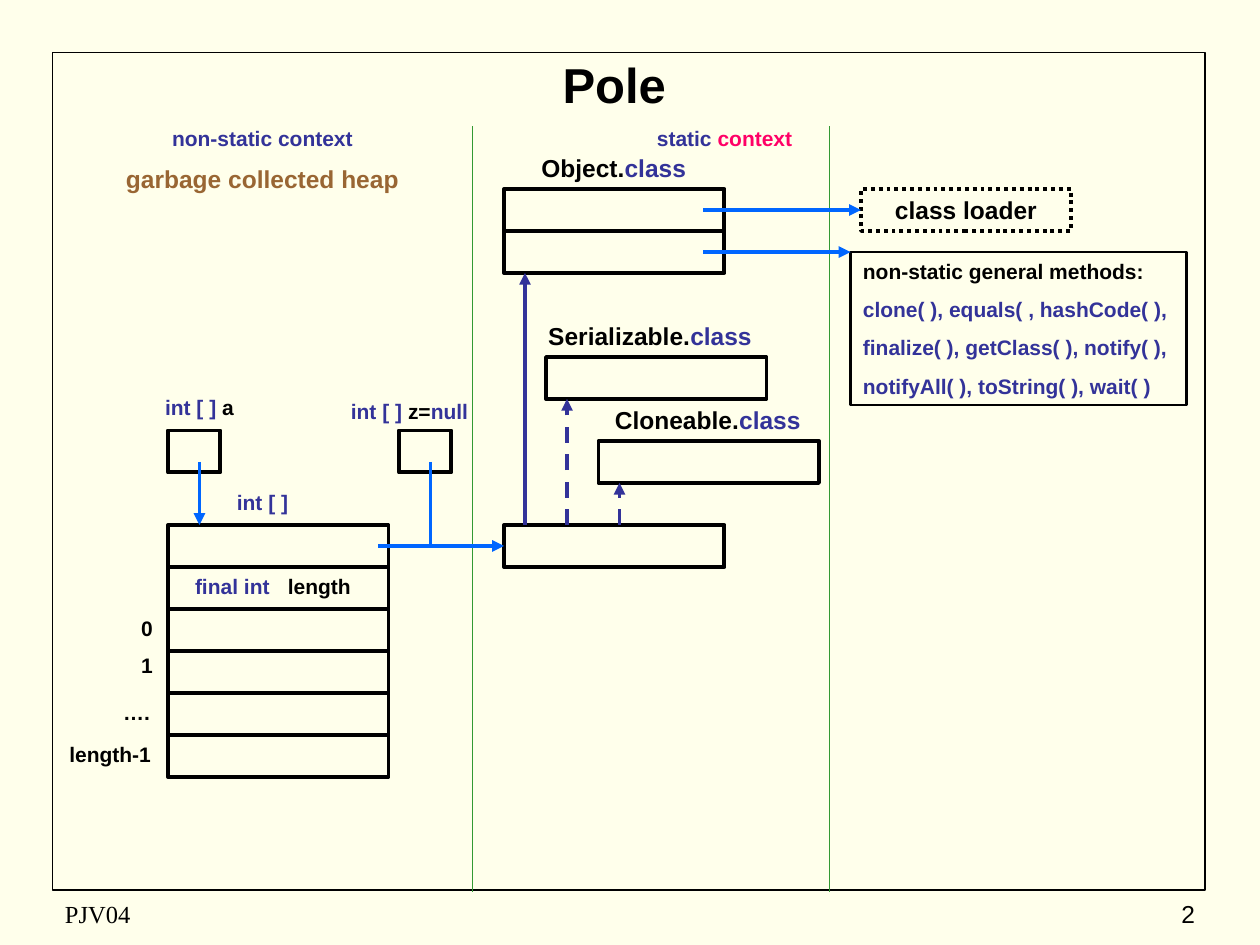
from dataclasses import dataclass
from typing import Optional

from lxml import etree
from pptx import Presentation
from pptx import util as u
from pptx.dml.color import RGBColor
from pptx.enum import dml, shapes, text
from pptx.oxml.ns import qn

CREAM = RGBColor(0xFF, 0xFF, 0xEB)
BLACK = RGBColor(0x00, 0x00, 0x00)
INDIGO = RGBColor(0x33, 0x33, 0x99)
BLUE = RGBColor(0x00, 0x66, 0xFF)
GREEN = RGBColor(0x33, 0x99, 0x33)
BROWN = RGBColor(0x99, 0x66, 0x33)
PINK = RGBColor(0xFF, 0x00, 0x66)

LEFT, CENTER, RIGHT = text.PP_ALIGN.LEFT, text.PP_ALIGN.CENTER, text.PP_ALIGN.RIGHT
TOP, MIDDLE = text.MSO_ANCHOR.TOP, text.MSO_ANCHOR.MIDDLE
DOTTED, DASHED = dml.MSO_LINE.ROUND_DOT, dml.MSO_LINE.DASH

ROW = 4        # height of one memory cell, in grid units
CELL_W = 21    # width of a memory cell
HEAP_X, CLASS_X, ARRAY_Y = 16, 48, 50


def grid(units: float) -> u.Length:
    """The slide is laid out on a grid of 120 by 90 units."""
    return u.Cm(units * 2.54 / 12)


@dataclass
class Box:
    x: float
    y: float
    w: float = CELL_W
    h: float = ROW
    fill: Optional[RGBColor] = None
    weight: float = 2.25
    dash: Optional[dml.MSO_LINE] = None


@dataclass
class Label:
    x: float
    y: float
    w: float
    spans: list
    size: int = 12
    h: float = 3.6


@dataclass
class Line:
    x1: float
    y1: float
    x2: float
    y2: float
    color: RGBColor = BLUE
    arrow: bool = True
    dash: Optional[dml.MSO_LINE] = None
    weight: float = 2.25
    target: object = None    # box whose left side the line joins


def write(frame, paragraphs: list, size: float = 12, align=CENTER, anchor=TOP,
          bold: bool = True, name: str = "Arial", wrap: bool = True) -> None:
    """Fill a text frame; each paragraph is a list of (words, colour)."""
    for key, value in {"word_wrap": wrap, "vertical_anchor": anchor,
                       "auto_size": text.MSO_AUTO_SIZE.NONE}.items():
        setattr(frame, key, value)
    for index, spans in enumerate(paragraphs):
        para = frame.add_paragraph() if index else frame.paragraphs[0]
        para.alignment = align
        para.space_before = u.Pt(7.5 if index else 0)
        for words, color in spans:
            span = para.add_run()
            span.text = words
            for key, value in {"size": u.Pt(size), "bold": bold, "name": name}.items():
                setattr(span.font, key, value)
            span.font.color.rgb = color


def draw_box(page, box: Box):
    shape = page.shapes.add_shape(shapes.MSO_SHAPE.RECTANGLE,
                                  *map(grid, (box.x, box.y, box.w, box.h)))
    shape.shadow.inherit = False
    if box.fill is None:
        shape.fill.background()
    else:
        shape.fill.solid()
        shape.fill.fore_color.rgb = box.fill
    shape.line.color.rgb = BLACK
    shape.line.width = u.Pt(box.weight)
    if box.dash:
        shape.line.dash_style = box.dash
    return shape


def draw_label(page, label: Label, **style):
    shape = page.shapes.add_textbox(*map(grid, (label.x, label.y, label.w, label.h)))
    write(shape.text_frame, [label.spans], label.size, **style)
    return shape


def draw_line(page, line: Line) -> None:
    connector = page.shapes.add_connector(
        shapes.MSO_CONNECTOR.STRAIGHT, *map(grid, (line.x1, line.y1, line.x2, line.y2)))
    connector.line.color.rgb = line.color
    connector.line.width = u.Pt(line.weight)
    if line.dash:
        connector.line.dash_style = line.dash
    properties = connector.element.spPr
    if line.arrow:
        etree.SubElement(properties.find(qn("a:ln")), qn("a:tailEnd"), type="triangle")
    etree.SubElement(properties, qn("a:effectLst"))
    if line.target is not None:
        connector.end_connect(line.target, 1)


def add_title(page) -> None:
    title = page.shapes.title
    title.left, title.top, title.width, title.height = map(grid, (5, 4, 107, 8))
    write(title.text_frame, [[("Pole", BLACK)]], 28, anchor=MIDDLE)


def add_length_field(page) -> None:
    """Label the length cell, with its name set at a tab stop."""
    field = draw_label(page, Label(17.4, 54, 18, [("final int\t", INDIGO), ("length", BLACK)]),
                       align=LEFT)
    properties = field.text_frame.paragraphs[0]._p.get_or_add_pPr()
    tabs = etree.SubElement(properties, qn("a:tabLst"))
    etree.SubElement(tabs, qn("a:tab"), pos=str(u.Cm(1.87)), algn="l")


def main() -> None:
    deck = Presentation()
    deck.slide_width, deck.slide_height = grid(120), grid(90)
    page = deck.slides.add_slide(deck.slide_layouts[5])
    page.background.fill.solid()
    page.background.fill.fore_color.rgb = CREAM

    draw_box(page, Box(5, 5, 109.8, 79.8, weight=1))
    add_title(page)
    draw_label(page, Label(5, 85, 38, [("PJV04", BLACK)], 14, ROW), align=LEFT,
               anchor=MIDDLE, bold=False, name="Times New Roman", wrap=False)
    draw_label(page, Label(90, 85, 25, [("2", BLACK)], 14, ROW), align=RIGHT,
               anchor=MIDDLE, bold=False, wrap=False)

    array_class = draw_box(page, Box(CLASS_X, ARRAY_Y))
    class_loader = draw_box(page, Box(82, 18, 20, fill=CREAM, dash=DOTTED))
    write(class_loader.text_frame, [[("class loader", BLACK)]], 14, anchor=MIDDLE, wrap=False)
    methods = draw_box(page, Box(81, 24, 32, 14.6, weight=1.5))
    write(methods.text_frame, [
        [("non-static general methods:", BLACK)],
        [("clone( ), equals( , hashCode( ),", INDIGO)],
        [("finalize( ), getClass( ), notify( ),", INDIGO)],
        [("notifyAll( ), toString( ), wait( )", INDIGO)],
    ], align=LEFT)

    for name, box, label_x, label_w in (
        ("Object.", Box(CLASS_X, 18, h=2 * ROW), 49.2, 18.5),
        ("Serializable.", Box(52, 34), 50.7, 22.4),
        ("Cloneable.", Box(57, 42), 56.2, 22.4),
    ):
        draw_box(page, box)
        draw_label(page, Label(label_x, box.y - ROW, label_w,
                               [(name, BLACK), ("class", INDIGO)], 14, 4.1))

    draw_box(page, Box(HEAP_X, ARRAY_Y, h=2 * ROW, fill=CREAM))
    for row in range(2, 6):
        draw_box(page, Box(HEAP_X, ARRAY_Y + row * ROW))
    for variable_x in (HEAP_X, 38):
        draw_box(page, Box(variable_x, 41, 5, fill=CREAM))

    for x, y in ((CLASS_X, 22), (HEAP_X, 54)):
        draw_line(page, Line(x, y, x + CELL_W, y, BLACK, arrow=False))
    for x in (45, 79):
        draw_line(page, Line(x, 12, x, 85, GREEN, arrow=False, weight=0.75))
    for line in (
        Line(67, 20, 82, 20, target=class_loader),
        Line(67, 24, 81, 24),
        Line(36, 52, 48, 52, target=array_class),
        Line(19, 44, 19, 50),
        Line(41, 44, 41, 52, arrow=False),
        Line(50, 50, 50, 26, INDIGO),
        Line(54, 50, 54, 38, INDIGO, dash=DASHED),
        Line(59, 50, 59, 46, INDIGO, dash=DASHED),
    ):
        draw_line(page, line)

    add_length_field(page)
    for label in (
        Label(14, 11.4, 22, [("non-static context", INDIGO)]),
        Label(58, 11.4, 22, [("static ", INDIGO), ("context", PINK)]),
        Label(9, 15, 32, [("garbage collected heap", BROWN)], 14, 4.1),
        Label(14, 37, 10, [("int [ ] ", INDIGO), ("a", BLACK)]),
        Label(32, 37.4, 14, [("int [ ] ", INDIGO), ("z=", BLACK), ("null", INDIGO)]),
        Label(21, 46, 8, [("int [ ]", INDIGO)]),
        Label(12, 58, 4, [("0", BLACK)]),
        Label(12, 61.6, 4, [("1", BLACK)]),
        Label(10, 66, 6, [("….", BLACK)]),
        Label(5, 70, 11, [("length-1", BLACK)]),
    ):
        draw_label(page, label)

    deck.save("out.pptx")


if __name__ == "__main__":
    main()
